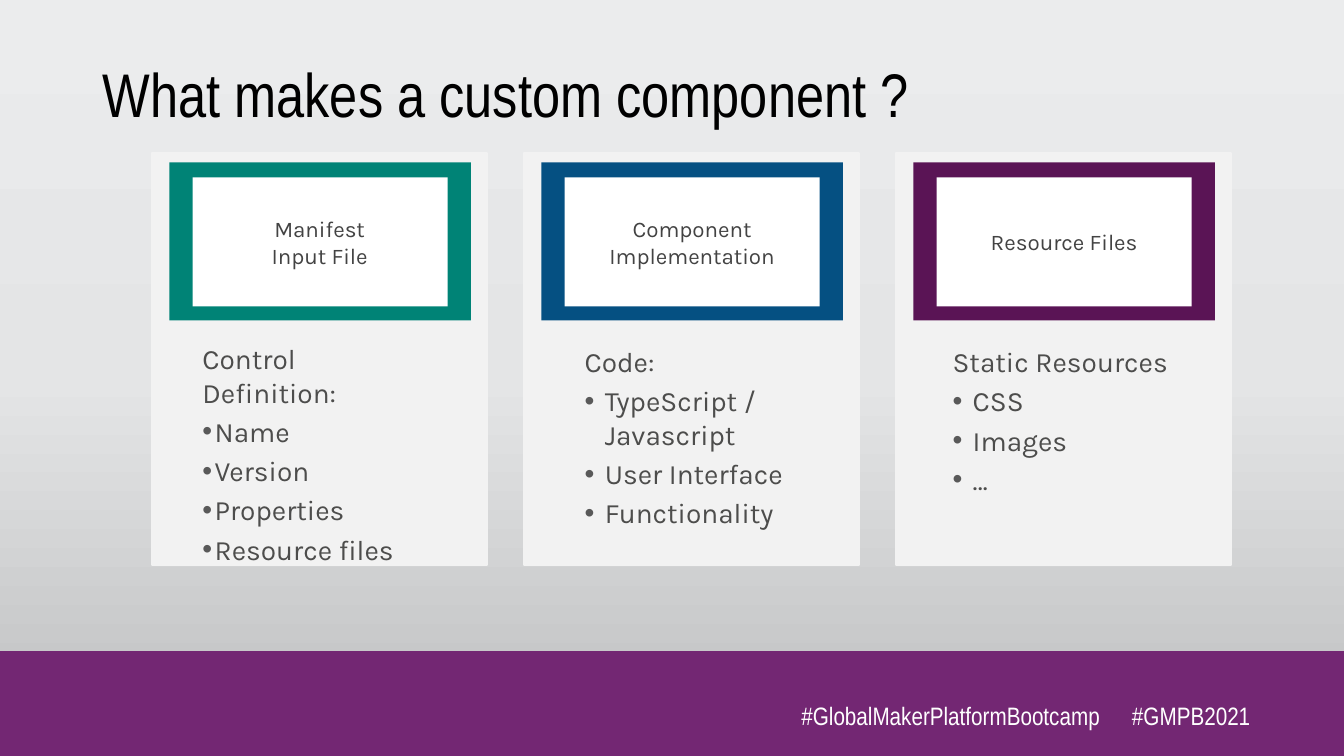
from copy import deepcopy

from lxml.etree import SubElement
from pptx import Presentation
from pptx.dml.color import RGBColor
from pptx.enum.shapes import MSO_SHAPE as Shape
from pptx.enum.text import MSO_ANCHOR as Anchor, PP_ALIGN as Align
from pptx.oxml.ns import qn
from pptx.util import Inches, Pt

WIDTH, HEIGHT = Inches(13.33), Inches(7.5)
FIRST_COLUMN, COLUMN_STEP = 11.33, 27.68

WHITE = RGBColor(0xFF, 0xFF, 0xFF)
BLACK = RGBColor(0x00, 0x00, 0x00)
CARD = RGBColor(0xF2, 0xF2, 0xF2)
TEAL = RGBColor(0x00, 0x83, 0x76)
BLUE = RGBColor(0x05, 0x50, 0x82)
PLUM = RGBColor(0x5A, 0x14, 0x55)
FOOTER = RGBColor(0x73, 0x27, 0x73)
CAPTION = RGBColor(0x43, 0x43, 0x43)
BODY = RGBColor(0x4D, 0x4D, 0x4C)
BULLET = RGBColor(0x59, 0x59, 0x59)
BACKDROP = [
    (0, RGBColor(0xEB, 0xEC, 0xED)),
    (0.5, RGBColor(0xE4, 0xE5, 0xE6)),
    (1, RGBColor(0xBD, 0xBE, 0xBF)),
]

COLUMNS = [
    dict(color=TEAL, caption="Manifest Input File", caption_area=(6.23, 12.45),
         heading="Control Definition:", list_area=(3, 44.53), indent=0.12,
         items=["Name", "Version", "Properties", "Resource files"]),
    dict(color=BLUE, caption="Component Implementation", caption_area=(3, 18.98),
         heading="Code:", list_area=(3.75, 44.93), indent=0.2,
         items=["TypeScript / Javascript", "User Interface", "Functionality"]),
    dict(color=PLUM, caption="Resource Files", caption_area=(3, 18.98),
         heading="Static Resources", list_area=(3.45, 44.93), indent=0.2,
         items=["CSS", "Images", "…"]),
]


def place(left, top, width, height):
    return (int(WIDTH * left / 100), int(HEIGHT * top / 100),
            int(WIDTH * width / 100), int(HEIGHT * height / 100))


def paint_background(page):
    fill = page.background.fill
    fill.gradient()
    fill.gradient_angle = 270
    stops = page.element.xpath(".//a:gsLst")[0]
    stops.insert(1, deepcopy(stops[0]))
    for stop, (position, color) in zip(fill.gradient_stops, BACKDROP):
        stop.position = position
        stop.color.rgb = color


def add_panel(shapes, area, color, line_width=None):
    panel = shapes.add_shape(Shape.RECTANGLE, *place(*area))
    panel.shadow.inherit = False
    panel.fill.solid()
    panel.fill.fore_color.rgb = color
    if line_width:
        panel.line.color.rgb = color
        panel.line.width = Pt(line_width)
    else:
        panel.line.fill.background()


def add_text_box(shapes, area, anchor=Anchor.TOP):
    box = shapes.add_textbox(*place(*area))
    box.text_frame.word_wrap = True
    box.text_frame.vertical_anchor = anchor
    return box.text_frame


def add_bullet(para, indent):
    properties = para._p.get_or_add_pPr()
    properties.set("marL", str(Inches(indent)))
    properties.set("indent", str(-Inches(indent)))
    tint = SubElement(properties, qn("a:buClr"))
    SubElement(tint, qn("a:srgbClr"), val=str(BULLET))
    SubElement(properties, qn("a:buFont"), typeface="Arial")
    SubElement(properties, qn("a:buChar"), char="•")


def write(para, text, *, font, size, color, align=Align.LEFT, spacing=None,
          before=None, bullet_indent=None):
    if bullet_indent:
        add_bullet(para, bullet_indent)
    para.alignment = align
    if spacing:
        para.line_spacing = spacing
    if before:
        para.space_before = Pt(before)
    span = para.add_run()
    span.text = text
    span.font.name = font
    span.font.size = Pt(size)
    span.font.color.rgb = color


def add_header(page, left, color, caption, caption_area):
    shapes = page.shapes.add_group_shape().shapes
    add_panel(shapes, (left + 1.28, 21.47, 22.43, 20.93), color)
    add_panel(shapes, (left + 3, 23.47, 18.98, 17.07), WHITE)
    offset, width = caption_area
    frame = add_text_box(shapes, (left + offset, 27.73, width, 8.53), Anchor.MIDDLE)
    write(frame.paragraphs[0], caption, font="Karla", size=16, color=CAPTION,
          align=Align.CENTER)


def add_list(page, left, heading, items, list_area, indent):
    offset, top = list_area
    frame = add_text_box(page.shapes, (left + offset, top, 18.6, 28))
    write(frame.paragraphs[0], heading, font="Karla", size=20, color=BODY)
    for item in items:
        write(frame.add_paragraph(), item, font="Karla", size=20, color=BODY,
              before=4, bullet_indent=indent)


def add_column(page, index, column):
    left = FIRST_COLUMN + index * COLUMN_STEP
    add_panel(page.shapes, (left, 20.27, 24.91, 54.53), CARD, line_width=1.5)
    add_header(page, left, column["color"], column["caption"], column["caption_area"])
    add_list(page, left, column["heading"], column["items"], column["list_area"],
             column["indent"])


def add_footer(page):
    add_panel(page.shapes, (0, 86.13, 100, 13.87), FOOTER)
    for hashtag, left, width in [("#GlobalMakerPlatformBootcamp", 55.89, 26.7),
                                 ("#GMPB2021", 82.6, 11.17)]:
        frame = add_text_box(page.shapes, (left, 92, width, 5.33))
        write(frame.paragraphs[0], hashtag, font="Arial Narrow", size=18,
              color=WHITE, align=Align.RIGHT)


def main():
    deck = Presentation()
    deck.slide_width, deck.slide_height = WIDTH, HEIGHT
    page = deck.slides.add_slide(deck.slide_layouts[6])
    paint_background(page)
    add_footer(page)
    title = add_text_box(page.shapes, (6.9, 5.33, 86.27, 15.07), Anchor.MIDDLE)
    write(title.paragraphs[0], "What makes a custom component ?",
          font="Arial Narrow", size=44, color=BLACK, spacing=0.9)
    for index, column in enumerate(COLUMNS):
        add_column(page, index, column)
    deck.save("out.pptx")


if __name__ == "__main__":
    main()
